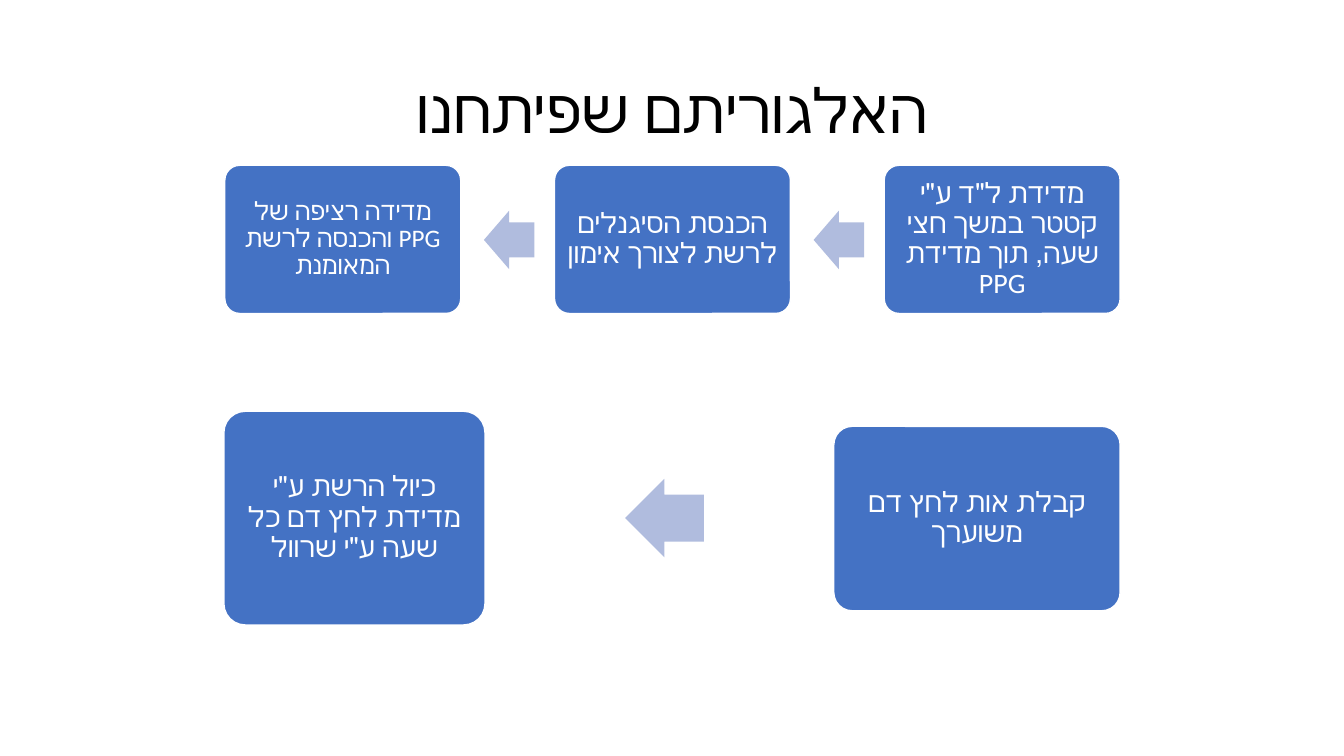
from pptx import Presentation
from pptx import util as u
from pptx.dml import color
from pptx.enum import lang, shapes, text

COLORS = {"title": "000000", "step": "4472C4", "arrow": "B0BCDE", "white": "FFFFFF"}
FONT = "Calibri"


def write_hebrew(shape, words, size, ink):
    frame = shape.text_frame
    frame.text = words
    frame.word_wrap = True
    frame.vertical_anchor = text.MSO_ANCHOR.MIDDLE
    paragraph = frame.paragraphs[0]
    paragraph.alignment = text.PP_ALIGN.CENTER
    paragraph.line_spacing = 0.9
    paragraph._p.get_or_add_pPr().set("rtl", "1")
    font = paragraph.runs[0].font
    font.name = FONT
    font.size = u.Pt(size)
    font.language_id = lang.MSO_LANGUAGE_ID.HEBREW
    font.color.rgb = color.RGBColor.from_string(COLORS[ink])


def add_block(kind, left, top, width, height, fill):
    block = slide.shapes.add_shape(
        kind, u.Inches(left), u.Inches(top), u.Inches(width), u.Inches(height))
    block.shadow.inherit = False
    block.fill.solid()
    block.fill.fore_color.rgb = color.RGBColor.from_string(COLORS[fill])
    block.line.fill.background()
    return block


presentation = Presentation()
presentation.slide_width = u.Inches(13.33)
presentation.slide_height = u.Inches(7.5)
slide = presentation.slides.add_slide(presentation.slide_layouts[6])

title = slide.shapes.add_textbox(
    u.Inches(0.92), u.Inches(0.4), u.Inches(11.5), u.Inches(1.45))
write_hebrew(title, "האלגוריתם שפיתחנו", 44, "title")

training_steps = [
    ("מדידה רציפה של PPG והכנסה לרשת המאומנת", 18),
    ("הכנסת הסיגנלים לרשת לצורך אימון", 20),
    ("מדידת ל\"ד ע\"י קטטר במשך חצי שעה, תוך מדידת PPG", 20),
]
steps = [
    (2.23 + 3.27 * column, 1.64, 2.34, 1.47, words, size)
    for column, (words, size) in enumerate(training_steps)
]
steps += [
    (2.22, 4.08, 2.59, 2.12, "כיול הרשת ע\"י מדידת לחץ דם כל שעה ע\"י שרוול", 20),
    (8.27, 4.23, 2.84, 1.83, "קבלת אות לחץ דם משוערך", 20),
]
for left, top, width, height, words, size in steps:
    step = add_block(shapes.MSO_SHAPE.ROUNDED_RECTANGLE, left, top, width, height, "step")
    step.adjustments[0] = 0.1
    step.line.color.rgb = color.RGBColor.from_string(COLORS["white"])
    step.line.width = u.Pt(1)
    write_hebrew(step, words, size, "white")
    frame = step.text_frame
    frame.margin_left = frame.margin_right = u.Inches(0.07)
    frame.margin_top = frame.margin_bottom = u.Inches(0.07)

arrows = [(4.8, 2.09, 0.5, 0.58), (8.07, 2.09, 0.5, 0.58), (6.2, 4.75, 0.78, 0.78)]
for left, top, width, height in arrows:
    arrow = add_block(shapes.MSO_SHAPE.LEFT_ARROW, left, top, width, height, "arrow")
    arrow.adjustments[0] = 0.6
    arrow.adjustments[1] = 0.5

presentation.save("out.pptx")
